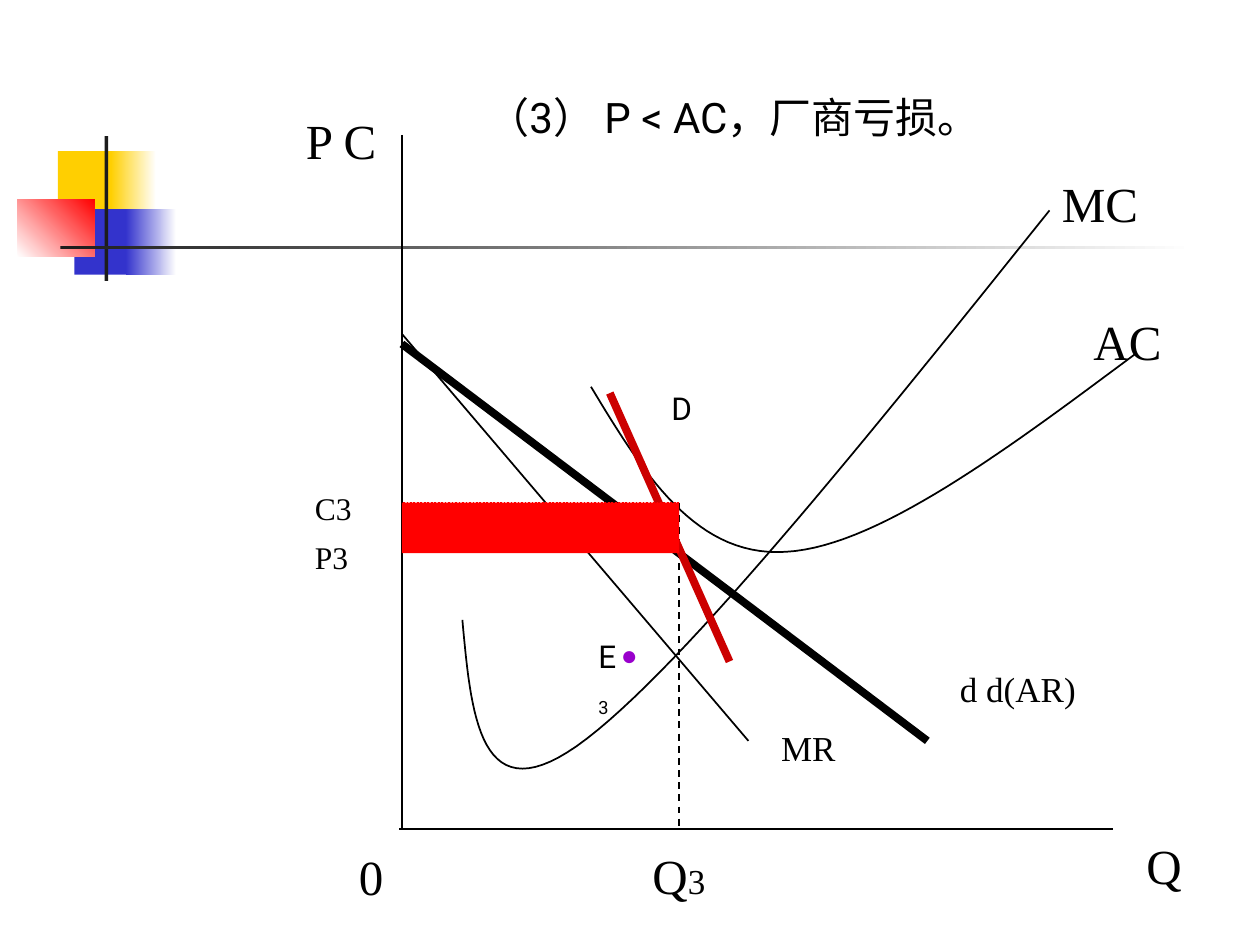
from lxml import etree
from pptx import Presentation
from pptx.dml.color import RGBColor
from pptx.enum.dml import MSO_LINE
from pptx.enum.shapes import MSO_CONNECTOR, MSO_SHAPE
from pptx.oxml.ns import qn
from pptx.util import Inches, Pt

RECT = MSO_SHAPE.RECTANGLE
STRAIGHT = MSO_CONNECTOR.STRAIGHT
DASH, DOT = MSO_LINE.DASH, MSO_LINE.ROUND_DOT

COLORS = {
    "black": "000000", "ink": "1C1C1C", "white": "FFFFFF", "yellow": "FFCF01",
    "blue": "3333CC", "red": "FF0000", "demand": "CC0000", "point": "9900CC",
}
SERIF, SANS, SYMBOL = "Times New Roman", "Roboto", "Arial"
COLS, ROWS = 100, 75


def rgb(name):
    return RGBColor.from_string(COLORS[name])


def bezier(p0, p1, p2, p3, steps=30):
    """Points along a cubic curve, without its starting point."""
    for i in range(1, steps + 1):
        t = i / steps
        u = 1 - t
        yield tuple(u**3 * a + 3 * u * u * t * b + 3 * u * t * t * c + t**3 * d
                    for a, b, c, d in zip(p0, p1, p2, p3))


class Slide:
    """Current slide, measured on a grid of COLS by ROWS cells."""

    def __init__(self, prs):
        self.s = prs.slides.add_slide(prs.slide_layouts[6])
        self.col = prs.slide_width / COLS
        self.row = prs.slide_height / ROWS

    def x(self, cols):
        return round(cols * self.col)

    def y(self, rows):
        return round(rows * self.row)

    def box(self, left, top, width, height):
        return self.x(left), self.y(top), self.x(width), self.y(height)

    def rect(self, at, color, end=None, angle=0):
        sp = self.s.shapes.add_shape(RECT, *self.box(*at))
        sp.shadow.inherit = False
        sp.line.fill.background()
        if end:
            sp.fill.gradient()
            sp.fill.gradient_angle = angle
            for stop, name in zip(sp.fill.gradient_stops, (color, end)):
                stop.color.rgb = rgb(name)
        else:
            sp.fill.solid()
            sp.fill.fore_color.rgb = rgb(color)

    def stroke(self, sp, color="black", width=1, dash=None):
        sp.line.color.rgb = rgb(color)
        sp.line.width = Pt(width)
        if dash:
            sp.line.dash_style = dash

    def line(self, start, end, **style):
        sp = self.s.shapes.add_connector(
            STRAIGHT, self.x(start[0]), self.y(start[1]), self.x(end[0]), self.y(end[1]))
        etree.SubElement(sp._element.spPr, qn("a:effectLst"))
        self.stroke(sp, **style)

    def curve(self, start, *segments):
        points, last = [], start
        for segment in segments:
            points += bezier(last, *segment)
            last = segment[-1]
        fb = self.s.shapes.build_freeform(self.x(start[0]), self.y(start[1]))
        fb.add_line_segments([(self.x(a), self.y(b)) for a, b in points], close=False)
        sp = fb.convert_to_shape()
        sp.shadow.inherit = False
        sp.fill.background()
        self.stroke(sp)

    def text(self, at, text, size, font=SERIF, color="black", wrap=True,
             tail="", tail_size=None, subscript=False):
        tf = self.s.shapes.add_textbox(*self.box(*at)).text_frame
        tf.word_wrap = wrap
        p = tf.paragraphs[0]
        for part, points in ((text, size), (tail, tail_size or size)):
            if not part:
                continue
            r = p.add_run()
            r.text = part
            for key, value in {"name": font, "size": Pt(points)}.items():
                setattr(r.font, key, value)
            r.font.color.rgb = rgb(color)
        if subscript:
            r.font._element.set("baseline", "-25000")


def main():
    prs = Presentation()
    prs.slide_width, prs.slide_height = Inches(10), Inches(7.5)
    s = Slide(prs)

    # Corner ornament and fading rule
    s.rect((4.6, 12, 4.8, 5.2), "yellow")
    s.rect((8.8, 12, 3.6, 5.2), "yellow", "white")
    s.rect((5.9, 16.6, 4.6, 5.2), "blue")
    s.rect((10, 16.6, 4, 5.2), "blue", "white")
    s.rect((1.4, 15.8, 6.1, 4.6), "white", "red", angle=45)
    s.rect((8.3, 10.8, 0.3, 11.5), "ink")
    s.rect((4.8, 19.5, 90, 0.3), "ink", "white")

    # Axes
    axis, base = 31.9, 65.8
    quantity, cost, price = 53.9, 39.9, 43.8
    s.line((axis, 10.7), (axis, base))
    s.line((31.7, base), (88.3, base))

    # Marginal and average cost curves
    s.curve((36.7, 49.2),
            ((37.4, 56.9), (38.1, 64.6), (45.8, 59.2)),
            ((53.6, 53.7), (68.5, 35.2), (83.3, 16.7)))
    s.line((quantity, cost), (quantity, base), dash=DASH)
    s.curve((46.9, 30.7),
            ((51, 37.5), (55.2, 44.3), (62.4, 43.8)),
            ((69.6, 43.4), (79.9, 35.7), (90.1, 28.1)))

    # Demand and marginal revenue
    s.line((axis, 27.3), (73.6, 58.8), width=4.5)
    s.line((axis, 26.5), (59.4, 58.8))
    s.line((48.4, 31.2), (57.9, 52.5), color="demand", width=4.5)

    # Loss area
    s.line((quantity, cost), (axis, cost), color="red", dash=DOT)
    s.line((53.1, price), (axis, price))
    s.rect((axis, cost, quantity - axis, 4), "red")

    # Labels
    for left, top, width, label in (
            (90, 65.8, 5, "Q"), (23.3, 8.3, 11.7, "P C"), (27.5, 66.7, 6.7, "0"),
            (83.3, 13.3, 8.3, "MC"), (85.8, 24.2, 7.5, "AC")):
        s.text((left, top, width, 5.7), label, 28)
    for left, top, width, label in ((75.2, 52.5, 12.6, "d d(AR)"), (61, 57.2, 10.2, "MR")):
        s.text((left, top, width, 4.4), label, 20)
    for top, label in ((42.2, "P3"), (38.3, "C3")):
        s.text((24, top, 7.9, 4), label, 18)
    s.text((50.8, 66.6, 9.1, 5.7), "Q", 28, tail="3", tail_size=20)
    s.text((52.3, 30.4, 3.8, 4), "D", 18, SANS)
    s.text((46.5, 50.1, 4, 4.4), "E", 18, SANS, tail="3", subscript=True)
    s.text((48.3, 50.1, 10.8, 3.7), "●", 16, SYMBOL, "point")
    s.text((37.7, 6.8, 44.4, 5), "（3） P < AC，厂商亏损。", 24, SANS, wrap=False)

    prs.save("out.pptx")


if __name__ == "__main__":
    main()
